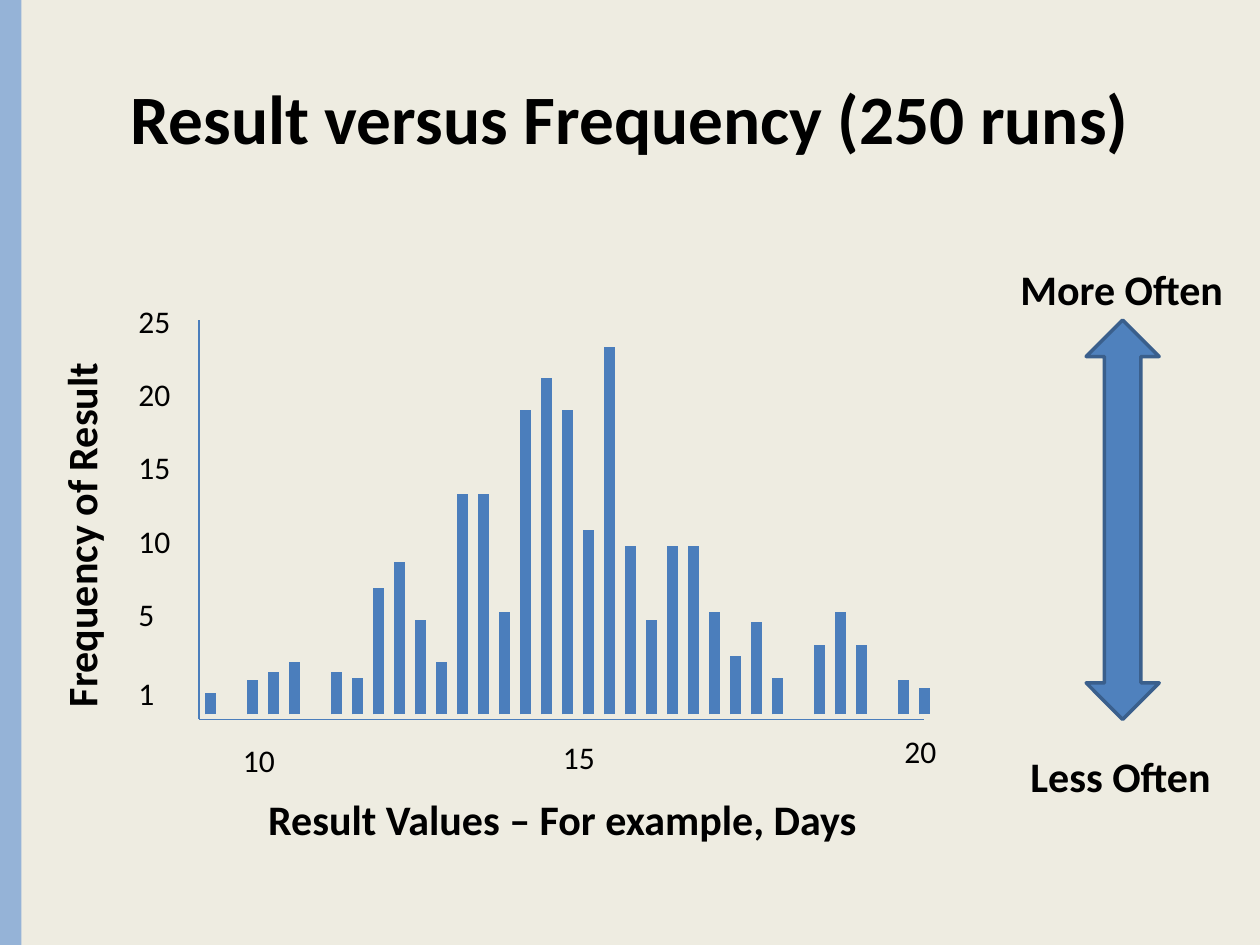
"""Build a slide showing how often each simulated result occurs."""
from typing import NamedTuple

from lxml.etree import SubElement
from pptx import Presentation
from pptx.dml.color import RGBColor
from pptx.enum.shapes import MSO_CONNECTOR, MSO_SHAPE
from pptx.enum.text import MSO_ANCHOR, MSO_AUTO_SIZE, PP_ALIGN
from pptx.oxml.ns import qn
from pptx.slide import Slide
from pptx.text.text import Font
from pptx.util import Inches, Pt

COLORS = {
    "background": "EEECE1",
    "band": "95B3D7",
    "bar": "4B7EBC",
    "arrow": "4F81BD",
    "arrow_edge": "3A5F8C",
    "text": "000000",
}
TITLE_FORMAT = {"name": "Calibri", "size": Pt(39.6), "bold": True}
CAPTION_FORMAT = {"name": "Calibri", "size": Pt(24), "bold": True}
TICK_FORMAT = {"name": "Calibri", "size": Pt(18), "bold": False}

AXIS_LEFT, AXIS_RIGHT = 1.58, 7.33
AXIS_TOP, AXIS_BOTTOM = 2.54, 5.71
FIRST_BAR, BAR_STEP, BAR_BASE = 1.67, 1 / 6, 5.67
BAR_TOPS = [
    5.5, None, 5.4, 5.33, 5.25, None, 5.33, 5.38, 4.67, 4.46, 4.92, 5.25,
    3.92, 3.92, 4.86, 3.25, 3, 3.25, 4.21, 2.75, 4.33, 4.92, 4.33, 4.33,
    4.86, 5.21, 4.94, 5.38, None, 5.12, 4.86, 5.12, None, 5.4, 5.46,
]


class Label(NamedTuple):
    wording: str
    left: float
    top: float
    width: float
    height: float
    rotation: float = 0


class Segment(NamedTuple):
    x1: float
    y1: float
    x2: float
    y2: float
    weight: float


CAPTIONS = [
    Label("More Often", 8, 2.04, 1.83, 0.5),
    Label("Less Often", 8.08, 5.91, 1.71, 0.5),
    Label("Result Values – For example, Days", 2.03, 6.25, 5.17, 0.5),
    Label("Frequency of Result", -0.91, 3.91, 3.1, 0.5, 270),
]
RESULT_TICKS = [
    Label("10", 1.83, 5.83, 0.5, 0.4),
    Label("15", 4.37, 5.81, 0.5, 0.4),
    Label("20", 7.08, 5.76, 0.5, 0.4),
]
FREQUENCY_TICKS = [Label("1", 1, 5.3, 0.5, 0.4)] + [
    Label(str(5 * step), 1, 5.25 - 0.58 * step, 0.5, 0.4) for step in range(1, 6)
]
AXES = [
    Segment(AXIS_LEFT, AXIS_TOP, AXIS_LEFT, AXIS_BOTTOM, 0.75),
    Segment(AXIS_RIGHT, AXIS_BOTTOM, AXIS_LEFT, AXIS_BOTTOM, 0.75),
]


def color(role: str) -> RGBColor:
    """Return the colour used for a role."""
    return RGBColor.from_string(COLORS[role])


def format_font(font: Font, values: dict) -> None:
    """Apply format values and the text colour to a font."""
    for attribute, value in values.items():
        setattr(font, attribute, value)
    font.color.rgb = color("text")


def draw_segment(slide: Slide, segment: Segment) -> None:
    """Draw a straight line without a shadow."""
    ends = [Inches(length) for length in segment[:4]]
    line = slide.shapes.add_connector(MSO_CONNECTOR.STRAIGHT, *ends)
    line.line.color.rgb = color("bar")
    line.line.width = Pt(segment.weight)
    SubElement(line._element.spPr, qn("a:effectLst"))


def draw_label(slide: Slide, label: Label, values: dict) -> None:
    """Draw a text box holding one label."""
    box = slide.shapes.add_textbox(*[Inches(length) for length in label[1:5]])
    box.rotation = label.rotation
    frame = box.text_frame
    frame.word_wrap = True
    frame.auto_size = MSO_AUTO_SIZE.SHAPE_TO_FIT_TEXT
    frame.text = label.wording
    format_font(frame.paragraphs[0].font, values)


def draw_band(slide: Slide) -> None:
    """Draw the coloured band along the left edge."""
    band = slide.shapes.add_shape(
        MSO_SHAPE.RECTANGLE, 0, 0, Inches(0.17), Inches(7.5))
    band.shadow.inherit = False
    band.fill.solid()
    band.fill.fore_color.rgb = color("band")
    band.line.fill.background()


def draw_often_arrow(slide: Slide) -> None:
    """Draw the arrow between more often and less often."""
    arrow = slide.shapes.add_shape(
        MSO_SHAPE.UP_DOWN_ARROW,
        Inches(8.62), Inches(AXIS_TOP), Inches(0.58), Inches(3.17))
    arrow.shadow.inherit = False
    arrow.fill.solid()
    arrow.fill.fore_color.rgb = color("arrow")
    arrow.line.color.rgb = color("arrow_edge")
    arrow.line.width = Pt(2)


def write_title(slide: Slide, wording: str) -> None:
    """Fill and place the title placeholder."""
    title = slide.shapes.title
    title.left, title.top = Inches(0.5), Inches(0.3)
    title.width, title.height = Inches(9), Inches(1.25)
    title.text_frame.text = wording
    title.text_frame.vertical_anchor = MSO_ANCHOR.MIDDLE
    heading = title.text_frame.paragraphs[0]
    heading.alignment = PP_ALIGN.CENTER
    format_font(heading.font, TITLE_FORMAT)


def main() -> None:
    """Build and save the presentation."""
    presentation = Presentation()
    presentation.slide_width = Inches(10)
    presentation.slide_height = Inches(7.5)
    slide = presentation.slides.add_slide(presentation.slide_layouts[5])
    slide.background.fill.solid()
    slide.background.fill.fore_color.rgb = color("background")

    draw_band(slide)
    write_title(slide, "Result versus Frequency (250 runs)")
    for position, top in enumerate(BAR_TOPS):
        if top is not None:
            x = FIRST_BAR + position * BAR_STEP
            draw_segment(slide, Segment(x, BAR_BASE, x, top, 6))
    for axis in AXES:
        draw_segment(slide, axis)
    draw_often_arrow(slide)
    for caption in CAPTIONS:
        draw_label(slide, caption, CAPTION_FORMAT)
    for tick in RESULT_TICKS + FREQUENCY_TICKS:
        draw_label(slide, tick, TICK_FORMAT)
    presentation.save("out.pptx")


if __name__ == "__main__":
    main()
